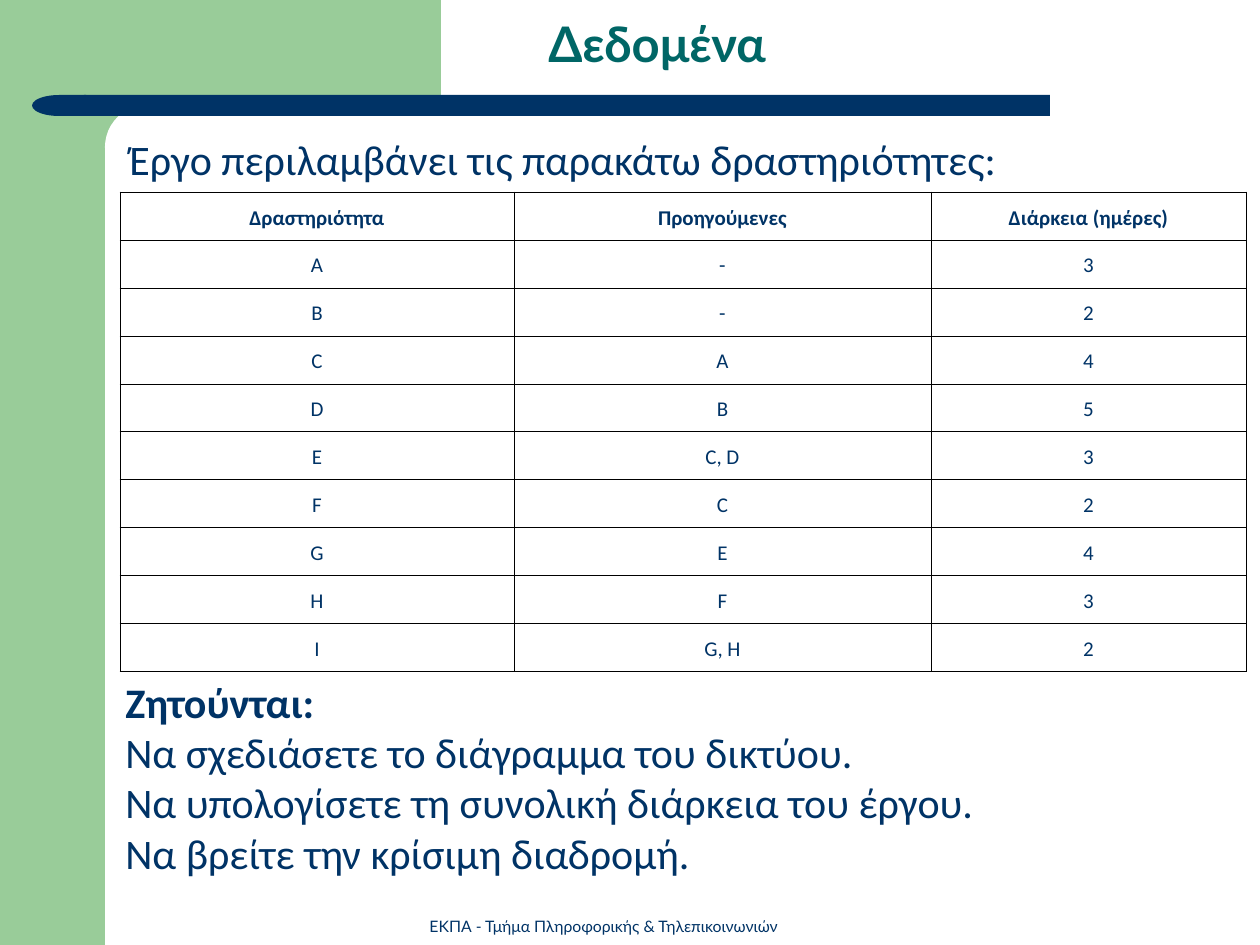
from dataclasses import dataclass

from lxml import etree
from pptx import Presentation
from pptx.dml.color import RGBColor
from pptx.enum.shapes import MSO_SHAPE
from pptx.enum.text import MSO_ANCHOR, MSO_AUTO_SIZE, PP_ALIGN
from pptx.oxml.ns import qn
from pptx.util import Emu, Pt

RECT = MSO_SHAPE.RECTANGLE
ROUNDED = MSO_SHAPE.ROUNDED_RECTANGLE
DELAY = MSO_SHAPE.FLOWCHART_DELAY
TOP, MIDDLE, BOTTOM = MSO_ANCHOR.TOP, MSO_ANCHOR.MIDDLE, MSO_ANCHOR.BOTTOM
LEFT, CENTER = PP_ALIGN.LEFT, PP_ALIGN.CENTER
FIT_TEXT, FIXED = MSO_AUTO_SIZE.SHAPE_TO_FIT_TEXT, MSO_AUTO_SIZE.NONE

PX_PER_INCH = 126


@dataclass(frozen=True)
class Theme:
    green: str = "99CC99"
    navy: str = "003366"
    teal: str = "006666"
    white: str = "FFFFFF"
    black: str = "000000"
    heading_font: str = "Lato"
    body_font: str = "Calibri"
    title_size: int = 28
    body_size: int = 24
    table_size: int = 12
    footer_size: int = 9
    border_width: float = 0.45


THEME = Theme()
SPACED = {"line_spacing": 1.15, "space_after": Pt(8)}


def px(length):
    return Emu(round(length * 914400 / PX_PER_INCH))


def set_values(target, values):
    for name, value in values.items():
        setattr(target, name, value)


class SlideBuilder:
    def __init__(self, slide, theme):
        self.slide = slide
        self.theme = theme

    def block(self, kind, box, color, corner=None, rotation=0):
        shape = self.slide.shapes.add_shape(kind, *map(px, box))
        shape.shadow.inherit = False
        shape.fill.solid()
        shape.fill.fore_color.rgb = RGBColor.from_string(color)
        shape.line.fill.background()
        shape.rotation = rotation
        if corner is not None:
            shape.adjustments[0] = corner

    def fill_paragraph(self, paragraph, text, color, font, layout):
        set_values(paragraph, layout)
        run = paragraph.add_run()
        run.text = text
        set_values(run.font, font)
        run.font.color.rgb = RGBColor.from_string(color)

    def text(self, box, lines, color, font, layout, anchor=TOP, fit=FIT_TEXT):
        """Each line is a pair of its text and its bold setting."""
        frame = self.slide.shapes.add_textbox(*map(px, box)).text_frame
        set_values(frame, {"word_wrap": True, "auto_size": fit,
                           "vertical_anchor": anchor})
        for index, (line, bold) in enumerate(lines):
            paragraph = frame.add_paragraph() if index else frame.paragraphs[0]
            self.fill_paragraph(paragraph, line, color, {**font, "bold": bold}, layout)

    def border(self, cell):
        properties = cell._tc.get_or_add_tcPr()
        for position, side in enumerate(("lnL", "lnR", "lnT", "lnB")):
            line = etree.Element(qn(f"a:{side}"), w=str(Pt(self.theme.border_width)))
            fill = etree.SubElement(line, qn("a:solidFill"))
            etree.SubElement(fill, qn("a:srgbClr"), val=self.theme.black)
            properties.insert(position, line)

    def table(self, left, top, widths, row_height, rows):
        box = (left, top, sum(widths), row_height * len(rows))
        table = self.slide.shapes.add_table(
            len(rows), len(widths), *map(px, box)).table
        table.horz_banding = False
        for column, width in zip(table.columns, widths):
            column.width = px(width)
        cell_format = {
            "vertical_anchor": MIDDLE,
            "margin_left": px(1), "margin_right": px(1),
            "margin_top": px(6), "margin_bottom": px(6),
        }
        for row_index, values in enumerate(rows):
            table.rows[row_index].height = px(row_height)
            font = {"name": self.theme.body_font, "size": Pt(self.theme.table_size),
                    "bold": row_index == 0}
            for column_index, value in enumerate(values):
                cell = table.cell(row_index, column_index)
                set_values(cell, cell_format)
                cell.fill.background()
                self.border(cell)
                self.fill_paragraph(cell.text_frame.paragraphs[0], value,
                                    self.theme.navy, font,
                                    {"alignment": CENTER, **SPACED})


def main():
    deck = Presentation()
    deck.slide_width, deck.slide_height = px(1260), px(945)
    builder = SlideBuilder(deck.slides.add_slide(deck.slide_layouts[6]), THEME)

    # Green frame with its rounded inner corner
    builder.block(RECT, (0, 0, 105, 945), THEME.green)
    builder.block(RECT, (95, 0, 346, 147), THEME.green)
    builder.block(ROUNDED, (105, 105, 703, 84), THEME.white, corner=0.5)

    # Navy bar with its rounded left end
    builder.block(ROUNDED, (84, 95, 966, 21), THEME.navy, corner=0)
    builder.block(DELAY, (32, 95, 54, 21), THEME.navy, rotation=180)

    # Footer and title
    builder.text((404, 910, 399, 32),
                 [("ΕΚΠΑ - Τμήμα Πληροφορικής & Τηλεπικοινωνιών", False)],
                 THEME.navy,
                 {"name": THEME.heading_font, "size": Pt(THEME.footer_size)},
                 {"alignment": CENTER}, anchor=BOTTOM)
    builder.text((44, 0, 1216, 86), [(" Δεδομένα", True)], THEME.teal,
                 {"name": THEME.heading_font, "size": Pt(THEME.title_size)},
                 {"alignment": CENTER}, anchor=MIDDLE, fit=FIXED)

    # Introduction and required tasks
    body = {"name": THEME.body_font, "size": Pt(THEME.body_size)}
    builder.text((117, 120, 1089, 71),
                 [("Έργο περιλαμβάνει τις παρακάτω δραστηριότητες:", False)],
                 THEME.navy, body, {"alignment": LEFT, **SPACED})
    builder.text((113, 670, 1109, 214), [
        ("Ζητούνται:", True),
        ("Να σχεδιάσετε το διάγραμμα του δικτύου.", False),
        ("Να υπολογίσετε τη συνολική διάρκεια του έργου.", False),
        ("Να βρείτε την κρίσιμη διαδρομή.", False),
    ], THEME.navy, body, {"alignment": LEFT})

    # Project activities
    builder.table(120, 192, (394, 417, 315), 48, [
        ("Δραστηριότητα", "Προηγούμενες", "Διάρκεια (ημέρες)"),
        ("A", "-", "3"),
        ("B", "-", "2"),
        ("C", "A", "4"),
        ("D", "B", "5"),
        ("E", "C, D", "3"),
        ("F", "C", "2"),
        ("G", "E", "4"),
        ("H", "F", "3"),
        ("I", "G, H", "2"),
    ])

    deck.save("out.pptx")


if __name__ == "__main__":
    main()
